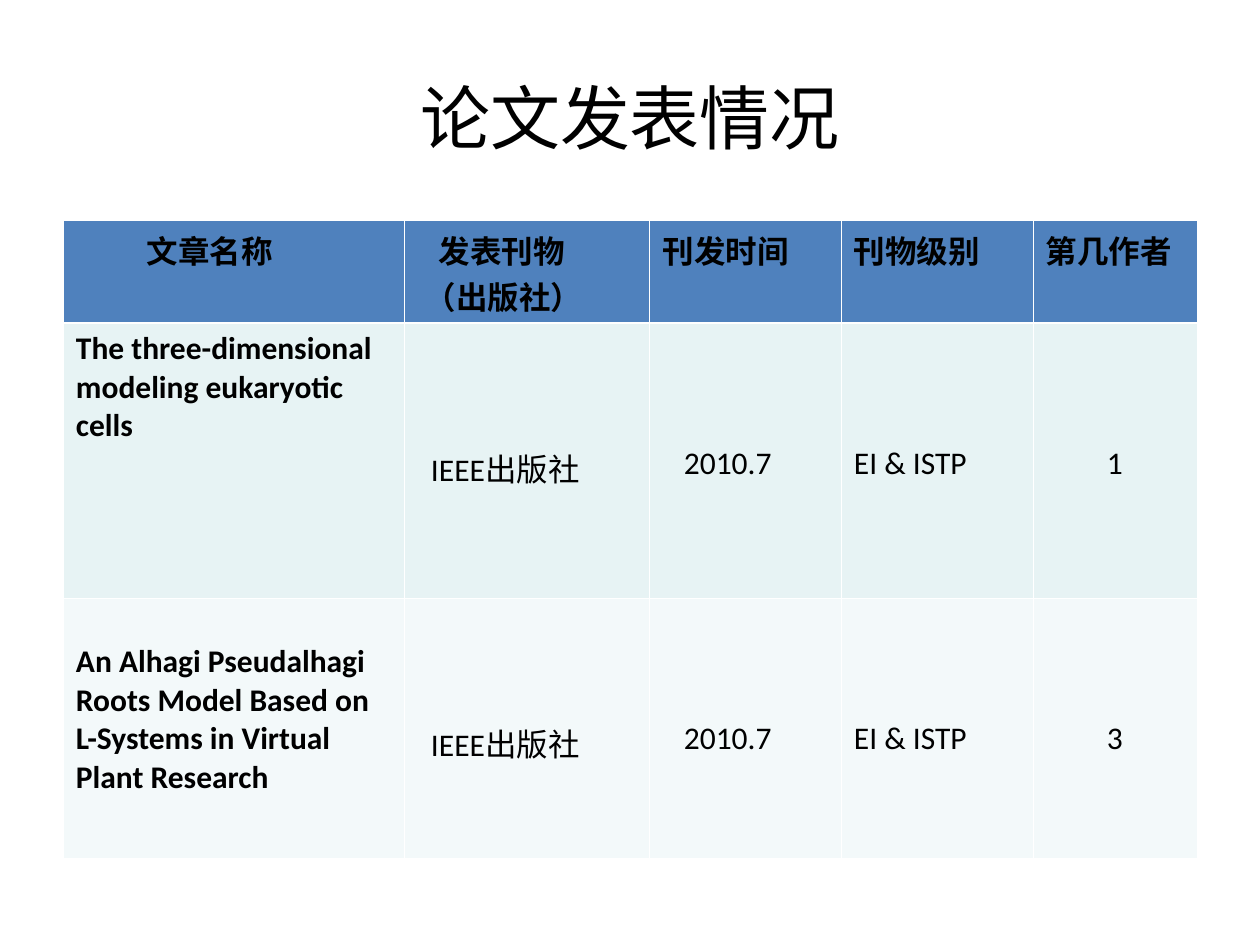
import dataclasses

import lxml.etree
import pptx
import pptx.dml.color
import pptx.enum.text
import pptx.oxml.ns
import pptx.util

ALIGN = pptx.enum.text.PP_ALIGN
ANCHOR = pptx.enum.text.MSO_ANCHOR


@dataclasses.dataclass(frozen=True)
class Theme:
    ink: str = "000000"
    line: str = "FFFFFF"
    fills: tuple = ("4F81BD", "E7F3F4", "F3F9FA")
    latin: str = "Calibri"
    asian: str = "Noto Sans CJK SC"
    title: int = 40
    body: int = 18
    thin: float = 0.45
    thick: float = 1.47


THEME = Theme()
COLS = (341, 245, 192, 192, 164)
ROWS = (103, 275, 260)
SIDE, TOP, STEP = 13, 7, 38
LOW = TOP + 3 * STEP


def px(count):
    return pptx.util.Emu(round(count * 914400 / 126))


def rgb(code):
    return pptx.dml.color.RGBColor.from_string(code)


def apply(item, form):
    for name, value in form.items():
        setattr(item, name, value)


def write(para, text, font, size, bold=False, align=ALIGN.LEFT, indent=0):
    para.alignment = align
    props = para._p.get_or_add_pPr()
    props.set("marL", str(px(indent)))
    props.set("indent", "0")
    run = para.add_run()
    run.text = text
    apply(run.font, {"name": font, "size": pptx.util.Pt(size), "bold": bold})
    run.font.color.rgb = rgb(THEME.ink)
    east = lxml.etree.SubElement(run._r.get_or_add_rPr(), pptx.oxml.ns.qn("a:ea"))
    east.set("typeface", THEME.asian)


def add_title(slide, text):
    box = slide.shapes.add_textbox(px(63), px(38), px(1134), px(158))
    apply(box.text_frame, {"word_wrap": True, "vertical_anchor": ANCHOR.MIDDLE})
    write(box.text_frame.paragraphs[0], text, THEME.asian, THEME.title,
          align=ALIGN.CENTER)


def set_edges(cell, row):
    props = cell._tc.get_or_add_tcPr()
    heavy = {0: "lnB", 1: "lnT"}.get(row)
    for edge in ("lnL", "lnR", "lnT", "lnB"):
        width = THEME.thick if edge == heavy else THEME.thin
        line = lxml.etree.SubElement(props, pptx.oxml.ns.qn(f"a:{edge}"))
        line.set("w", str(pptx.util.Pt(width)))
        fill = lxml.etree.SubElement(line, pptx.oxml.ns.qn("a:solidFill"))
        tint = lxml.etree.SubElement(fill, pptx.oxml.ns.qn("a:srgbClr"))
        tint.set("val", THEME.line)


def fill_cell(cell, row, lines, top=TOP, bold=False, align=ALIGN.LEFT):
    apply(cell, {"margin_left": px(SIDE), "margin_right": px(SIDE),
                 "margin_top": px(top), "margin_bottom": px(0),
                 "vertical_anchor": ANCHOR.TOP})
    set_edges(cell, row)
    cell.fill.solid()
    cell.fill.fore_color.rgb = rgb(THEME.fills[row])
    for spot, (text, indent) in enumerate(lines):
        frame = cell.text_frame
        para = frame.add_paragraph() if spot else frame.paragraphs[0]
        write(para, text, THEME.latin, THEME.body, bold, align, indent)


def add_grid(slide, heads, papers):
    frame = slide.shapes.add_table(len(ROWS), len(COLS), px(63), px(220),
                                   px(sum(COLS)), px(sum(ROWS)))
    table = frame.table
    for col, width in zip(table.columns, COLS):
        col.width = px(width)
    for row, height in zip(table.rows, ROWS):
        row.height = px(height)
    for col, lines in enumerate(heads):
        fill_cell(table.cell(0, col), 0, lines, bold=True)
    for row, (name, top, rank) in enumerate(papers, 1):
        fill_cell(table.cell(row, 0), row, [(text, 0) for text in name], top, True)
        facts = (("IEEE出版社", 14), ("2010.7", 22), ("EI & ISTP", 0), (rank, 0))
        for col, fact in enumerate(facts, 1):
            align = ALIGN.CENTER if col == len(facts) else ALIGN.LEFT
            fill_cell(table.cell(row, col), row, [fact], LOW + 1, align=align)


def main():
    deck = pptx.Presentation()
    apply(deck, {"slide_width": px(1260), "slide_height": px(945)})
    slide = deck.slides.add_slide(deck.slide_layouts[6])
    add_title(slide, "论文发表情况")
    heads = (
        [("文章名称", 71)],
        [("发表刊物", 22), ("（出版社）", 8)],
        [("刊发时间", 1)],
        [("刊物级别", 0)],
        [("第几作者", 0)],
    )
    papers = (
        (["The three-dimensional modeling eukaryotic cells"], TOP, "1"),
        (["An Alhagi Pseudalhagi Roots Model Based on",
          "L-Systems in Virtual Plant Research"], TOP + STEP, "3"),
    )
    add_grid(slide, heads, papers)
    deck.save("out.pptx")


if __name__ == "__main__":
    main()
